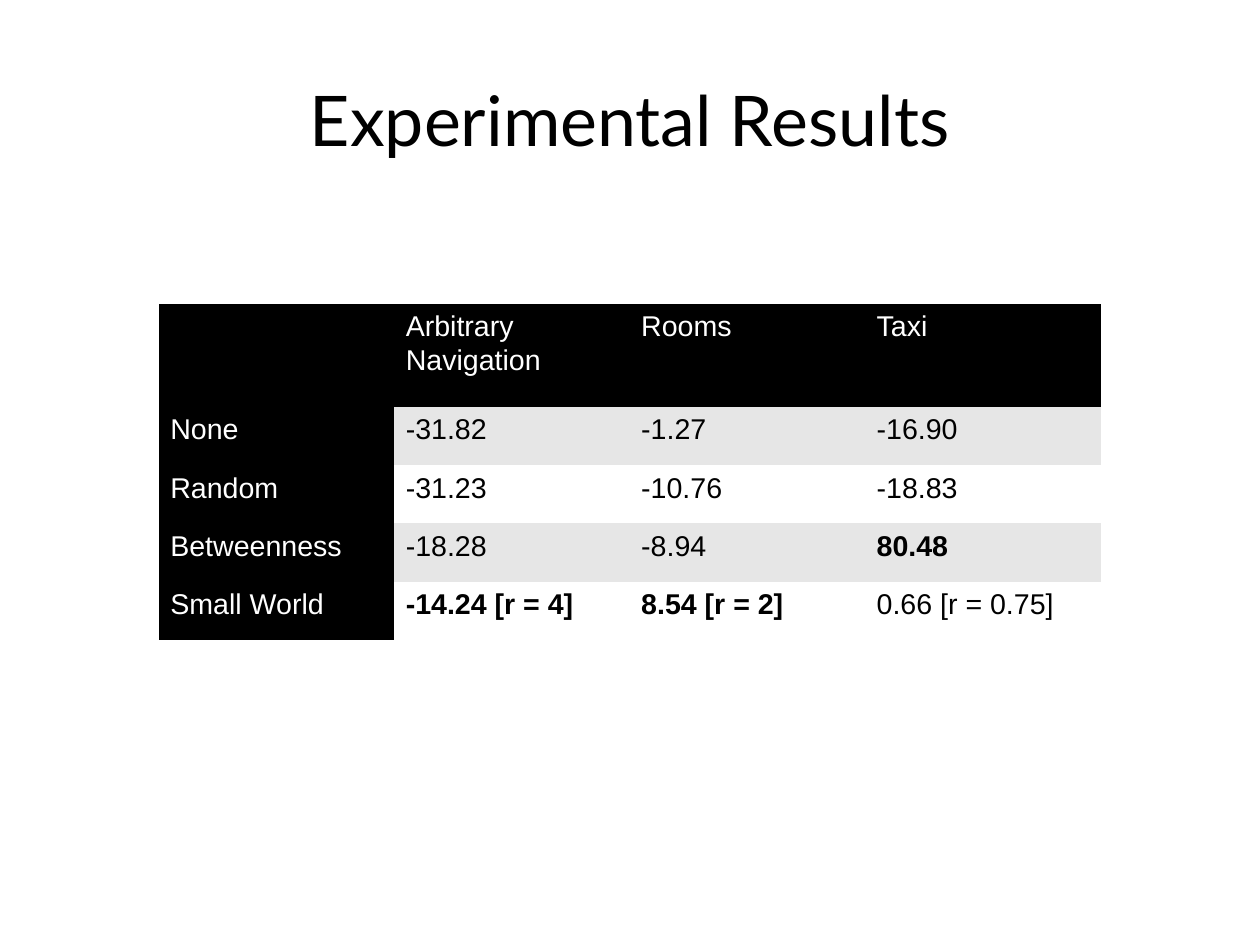
import pptx
import pptx.util
import pptx.dml.color
import pptx.enum.text
import pptx.oxml.ns

WIDTH, HEIGHT = pptx.util.Cm(28), pptx.util.Cm(21)
BLACK, WHITE, GREY = "000000", "FFFFFF", "E6E6E6"
LINE_SPACING = 1.04
NO_GRID_STYLE = "{2D5ABB26-0587-4C30-8999-92F81FD0307C}"

RESULTS = [
    ["", "Arbitrary Navigation", "Rooms", "Taxi"],
    ["None", "-31.82", "-1.27", "-16.90"],
    ["Random", "-31.23", "-10.76", "-18.83"],
    ["Betweenness", "-18.28", "-8.94", "80.48"],
    ["Small World", "-14.24 [r = 4]", "8.54 [r = 2]", "0.66 [r = 0.75]"],
]
BEST = {(3, 3), (4, 1), (4, 2)}  # row, column of the best score per domain


def color(hex_string):
    return pptx.dml.color.RGBColor.from_string(hex_string)


def write(p, text, font, size, hex_string, bold=False):
    p.text = text
    p.line_spacing = LINE_SPACING
    for r in p.runs:
        r.font.name = font
        r.font.size = pptx.util.Pt(size)
        r.font.bold = bold
        r.font.color.rgb = color(hex_string)


def add_title(s, text, left, top, width, height):
    sp = s.shapes.add_textbox(left, top, width, height)
    tf = sp.text_frame
    tf.word_wrap = True
    tf.vertical_anchor = pptx.enum.text.MSO_ANCHOR.MIDDLE
    tf.margin_left = tf.margin_right = tf.margin_top = tf.margin_bottom = 0
    p = tf.paragraphs[0]
    write(p, text, "Lato", 44, BLACK)
    p.alignment = pptx.enum.text.PP_ALIGN.CENTER


def add_results(s, left, top, width, header_height, row_height):
    height = header_height + row_height * (len(RESULTS) - 1)
    frame = s.shapes.add_table(
        len(RESULTS), len(RESULTS[0]), left, top, width, height)
    frame.element.find(".//" + pptx.oxml.ns.qn("a:tableStyleId")).text = NO_GRID_STYLE
    table = frame.table
    for i, values in enumerate(RESULTS):
        table.rows[i].height = row_height if i else header_height
        for j, value in enumerate(values):
            cell = table.cell(i, j)
            is_heading = i == 0 or j == 0
            band = GREY if i % 2 else WHITE
            cell.fill.solid()
            cell.fill.fore_color.rgb = color(BLACK if is_heading else band)
            if value:
                write(cell.text_frame.paragraphs[0], value, "Arial", 18,
                      WHITE if is_heading else BLACK, (i, j) in BEST)


def main():
    prs = pptx.Presentation()
    prs.slide_width, prs.slide_height = WIDTH, HEIGHT
    s = prs.slides.add_slide(prs.slide_layouts[6])
    add_title(s, "Experimental Results",
              int(0.05 * WIDTH), int(0.04 * HEIGHT), int(0.9 * WIDTH), HEIGHT // 6)
    add_results(s, *map(pptx.util.Inches, (1.39, 2.66, 8.24, 0.9, 0.51)))
    prs.save("out.pptx")


if __name__ == "__main__":
    main()
